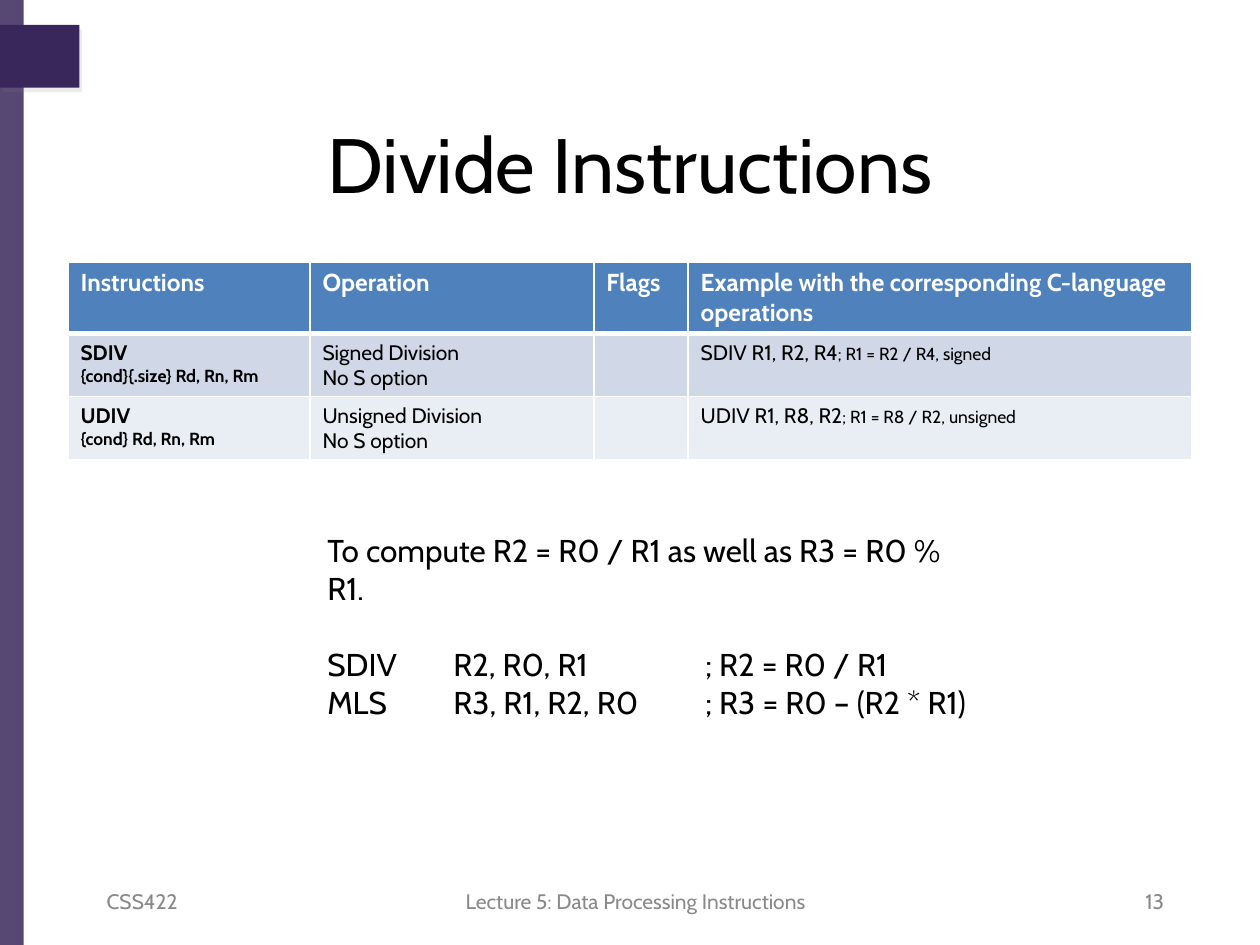
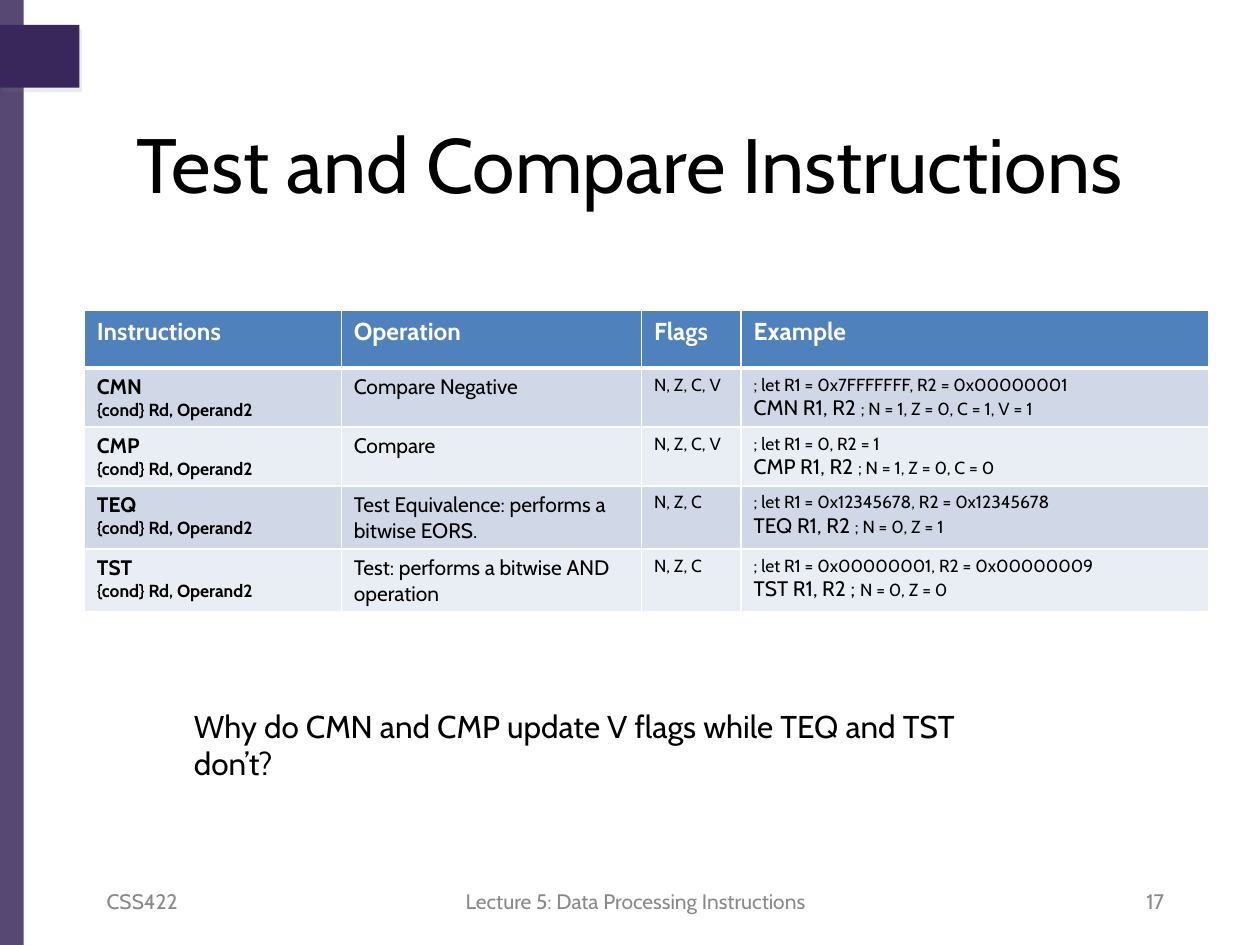
"""Two lecture slides on divide, test and compare instructions."""
from lxml.etree import SubElement as Sub
from pptx import Presentation
from pptx.dml.color import RGBColor as RGB
from pptx.enum.shapes import MSO_SHAPE as Shape
from pptx.enum.text import MSO_ANCHOR as Anchor, PP_ALIGN as Align
from pptx.oxml.ns import qn
from pptx.util import Cm, Pt

FONT = "Cabin"
PLUM = RGB(0x39, 0x27, 0x5B)
BLUE = RGB(0x4F, 0x81, 0xBD)
DARK = RGB(0xD0, 0xD8, 0xE8)
PALE = RGB(0xE9, 0xED, 0xF4)
GREY = RGB(0x89, 0x89, 0x89)
BLACK = RGB(0, 0, 0)
WHITE = RGB(255, 255, 255)
BANDS = [(0, 0.48, 19.05), (0.5, 1.6, 1.27)]
TABS = (2.54, 7.62)
COURSE = "Lecture 5: Data Processing Instructions"

# In a cell, text after "|" is set small.
SLIDES = [
    dict(
        title="Divide Instructions", page="13",
        spot=(1.37, 5.28), cols=(4.88, 5.72, 1.9, 10.16), rows=(1.17, 1.14, 1.27),
        cells=[
            ("Instructions", "Operation", "Flags",
             "Example with the corresponding C-language operations"),
            ("SDIV\n|{cond}{.size} Rd, Rn, Rm", "Signed Division\nNo S option", "",
             "SDIV R1, R2, R4|; R1 = R2 / R4, signed"),
            ("UDIV\n|{cond} Rd, Rn, Rm", "Unsigned Division\nNo S option", "",
             "UDIV R1, R8, R2|; R1 = R8 / R2, unsigned"),
        ],
        box=(6.35, 10.59, 13.46, 3.33),
        note=["To compute R2 = R0 / R1 as well as R3 = R0 % R1.",
              "SDIV \tR2, R0, R1\t; R2 = R0 / R1",
              "MLS\tR3, R1, R2, R0\t; R3 = R0 – (R2 * R1)"],
    ),
    dict(
        title="Test and Compare Instructions", page="17",
        spot=(1.7, 6.25), cols=(5.18, 6.05, 2.01, 9.42),
        rows=(1.17, 1.14, 1.14, 1.27, 1.14),
        cells=[
            ("Instructions", "Operation", "Flags", "Example"),
            ("CMN\n|{cond} Rd, Operand2", "Compare Negative", "|N, Z, C, V",
             "|; let R1 = 0x7FFFFFFF, R2 = 0x00000001\n"
             "CMN R1, R2 |; N = 1, Z = 0, C = 1, V = 1"),
            ("CMP\n|{cond} Rd, Operand2", "Compare", "|N, Z, C, V",
             "|; let R1 = 0, R2 = 1\nCMP R1, R2 |; N = 1, Z = 0, C = 0"),
            ("TEQ\n|{cond} Rd, Operand2", "Test Equivalence: performs a bitwise EORS.",
             "|N, Z, C",
             "|; let R1 = 0x12345678, R2 = 0x12345678\nTEQ R1, R2 |; N = 0, Z = 1"),
            ("TST\n|{cond} Rd, Operand2", "Test: performs a bitwise AND operation",
             "|N, Z, C",
             "|; let R1 = 0x00000001, R2 = 0x00000009\nTST R1, R2 ; |N = 0, Z = 0"),
        ],
        box=(3.66, 14.12, 17.09, 1.02),
        note=["Why do CMN and CMP update V flags while TEQ and TST don’t?"],
    ),
]


def style(para, size, color=BLACK, bold=False, align=Align.LEFT):
    para.alignment = align
    font = para.font
    font.name, font.size, font.bold = FONT, Pt(size), bold
    font.color.rgb = color


def write(slide, place, lines, size, color, align=Align.LEFT):
    frame = slide.shapes.add_textbox(*map(Cm, place)).text_frame
    frame.word_wrap = True
    frame.text = "\n".join(lines)
    for para, line in zip(frame.paragraphs, lines):
        if "\t" in line:
            stops = Sub(para._p.get_or_add_pPr(), qn("a:tabLst"))
            for stop in TABS:
                Sub(stops, qn("a:tab"), pos=str(Cm(stop)), algn="l")
        style(para, size, color, align=align)
    return frame


deck = Presentation()
deck.slide_width, deck.slide_height = Cm(25.4), Cm(19.05)

for data in SLIDES:
    slide = deck.slides.add_slide(deck.slide_layouts[5])

    for top, wide, high in BANDS:
        band = slide.shapes.add_shape(Shape.RECTANGLE, 0, Cm(top), Cm(wide), Cm(high))
        band.fill.solid()
        band.fill.fore_color.rgb = PLUM
        band.line.fill.background()
        band.shadow.inherit = False
        props = band._element.spPr
        if top == 0:
            Sub(props.find(".//" + qn("a:srgbClr")), qn("a:alpha"), val="85000")
        else:
            shade = Sub(props.find(qn("a:effectLst")), qn("a:outerShdw"),
                        blurRad="0", dist=str(Pt(3)), dir="3600000", rotWithShape="0")
            tint = Sub(shade, qn("a:srgbClr"), val="808080")
            Sub(tint, qn("a:alpha"), val="15000")

    title = slide.shapes.title
    title.left, title.top, title.width, title.height = map(Cm, (1.27, 2.11, 22.86, 2.34))
    title.text_frame.text = data["title"]
    title.text_frame.vertical_anchor = Anchor.MIDDLE
    style(title.text_frame.paragraphs[0], 44, align=Align.CENTER)

    for left, wide, text, align in [(1.9, 5.92, "CSS422", Align.LEFT),
                                    (8.79, 8.05, COURSE, Align.CENTER),
                                    (17.8, 5.92, data["page"], Align.RIGHT)]:
        foot = write(slide, (left, 17.65, wide, 1.02), [text], 12, GREY, align)
        foot.vertical_anchor = Anchor.MIDDLE

    cols, rows = data["cols"], data["rows"]
    table = slide.shapes.add_table(len(rows), len(cols), *map(Cm, data["spot"]),
                                   Cm(sum(cols)), Cm(sum(rows))).table
    for col, wide in zip(table.columns, cols):
        col.width = Cm(wide)
    for r, (row, high) in enumerate(zip(table.rows, rows)):
        row.height = Cm(high)
        for c, text in enumerate(data["cells"][r]):
            cell = table.cell(r, c)
            if r == 0:
                rule = Sub(cell._tc.get_or_add_tcPr(), qn("a:lnB"), w=str(Pt(3)))
                Sub(Sub(rule, qn("a:solidFill")), qn("a:srgbClr"), val=str(WHITE))
            cell.fill.solid()
            cell.fill.fore_color.rgb = (DARK if r % 2 else PALE) if r else BLUE
            for n, line in enumerate(text.split("\n")):
                frame = cell.text_frame
                para = frame.add_paragraph() if n else frame.paragraphs[0]
                main, _, small = line.partition("|")
                size = (12 if main else 10) if r else 14
                style(para, size, BLACK if r else WHITE, r == 0 or c == 0)
                for part in filter(None, (main, small)):
                    run = para.add_run()
                    run.text = part
                    if main and part == small:
                        run.font.size = Pt(10)

    note = write(slide, data["box"], data["note"], 18, BLACK)
    if len(note.paragraphs) > 1:
        note.paragraphs[1].space_before = Pt(21.7)

deck.save("out.pptx")
